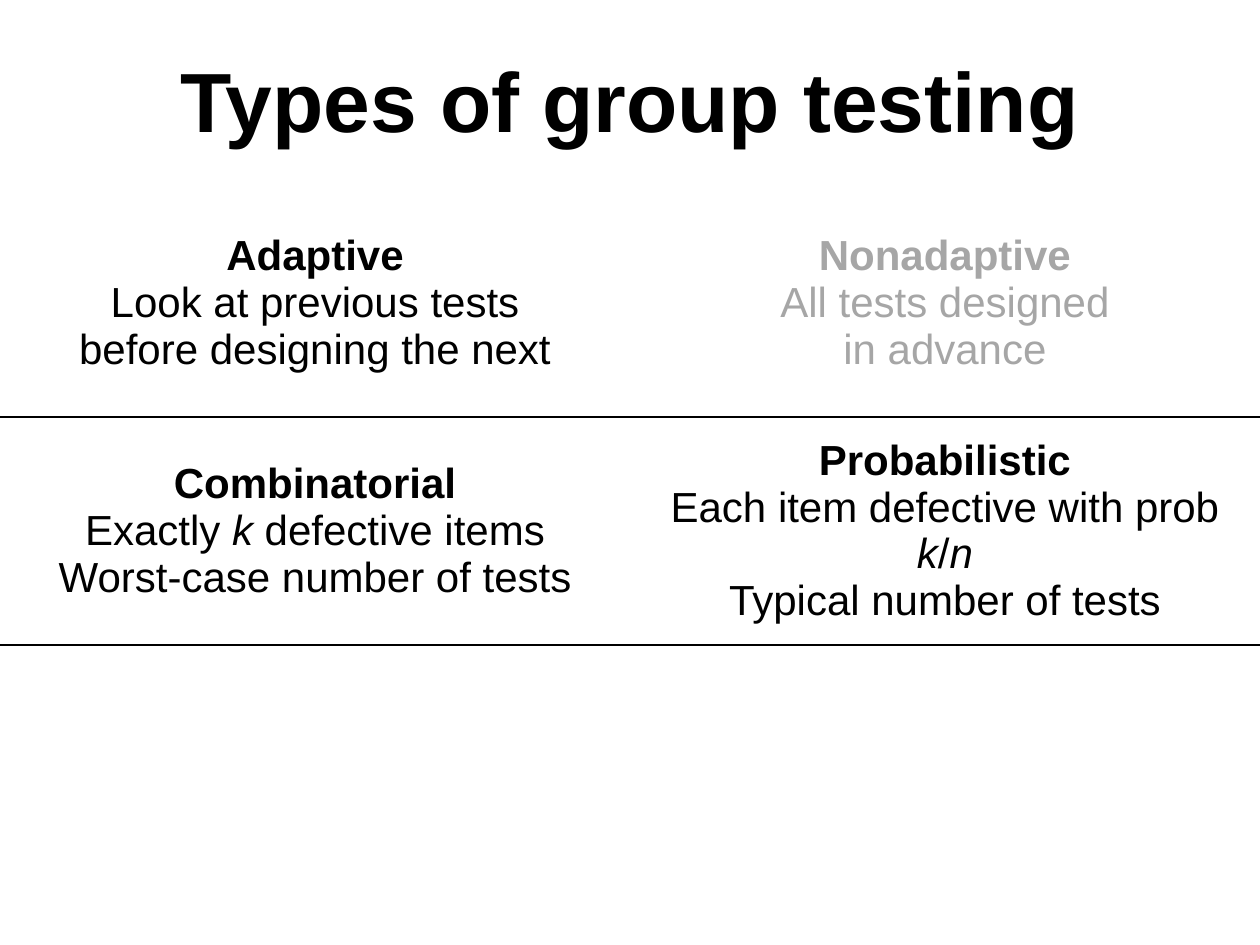
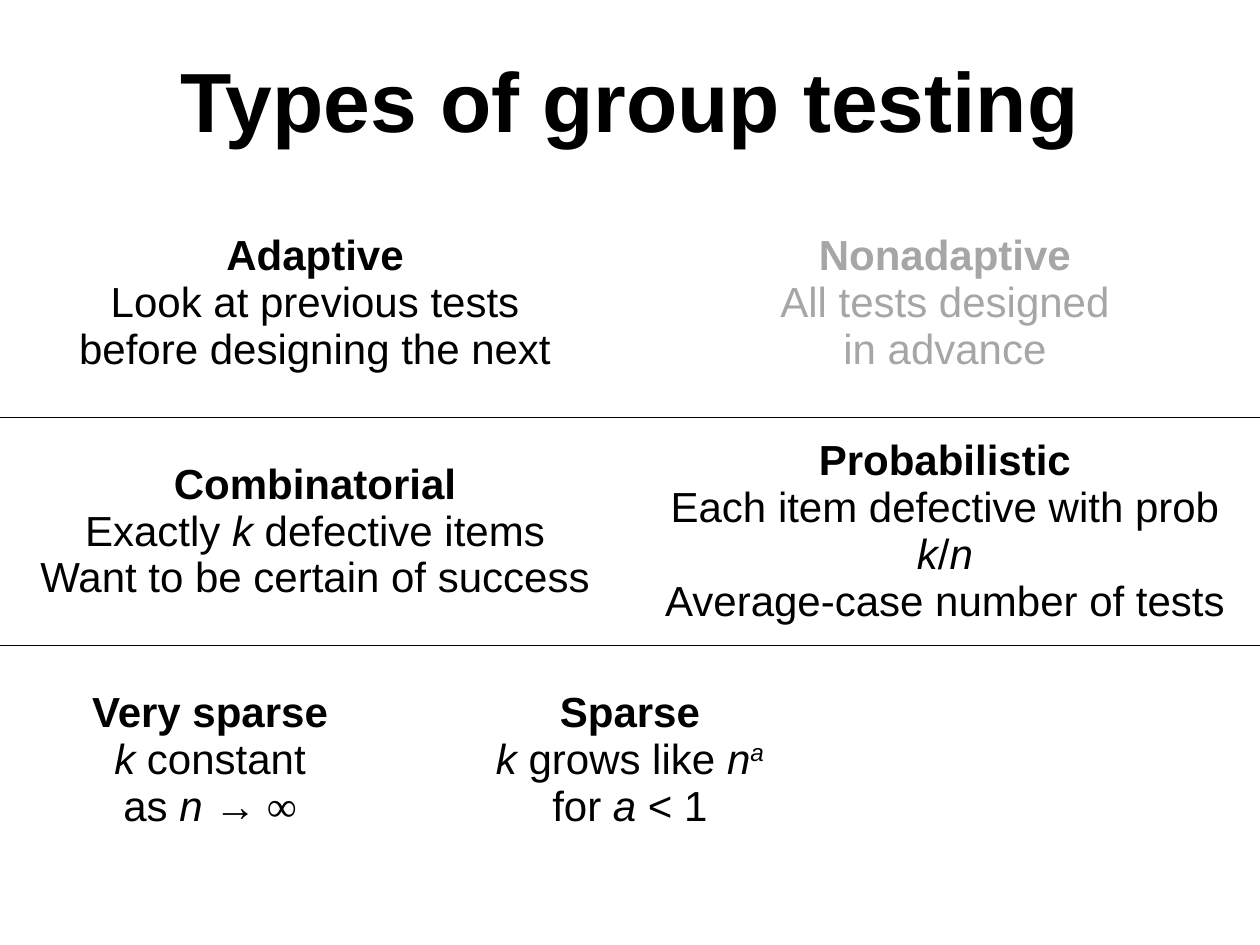
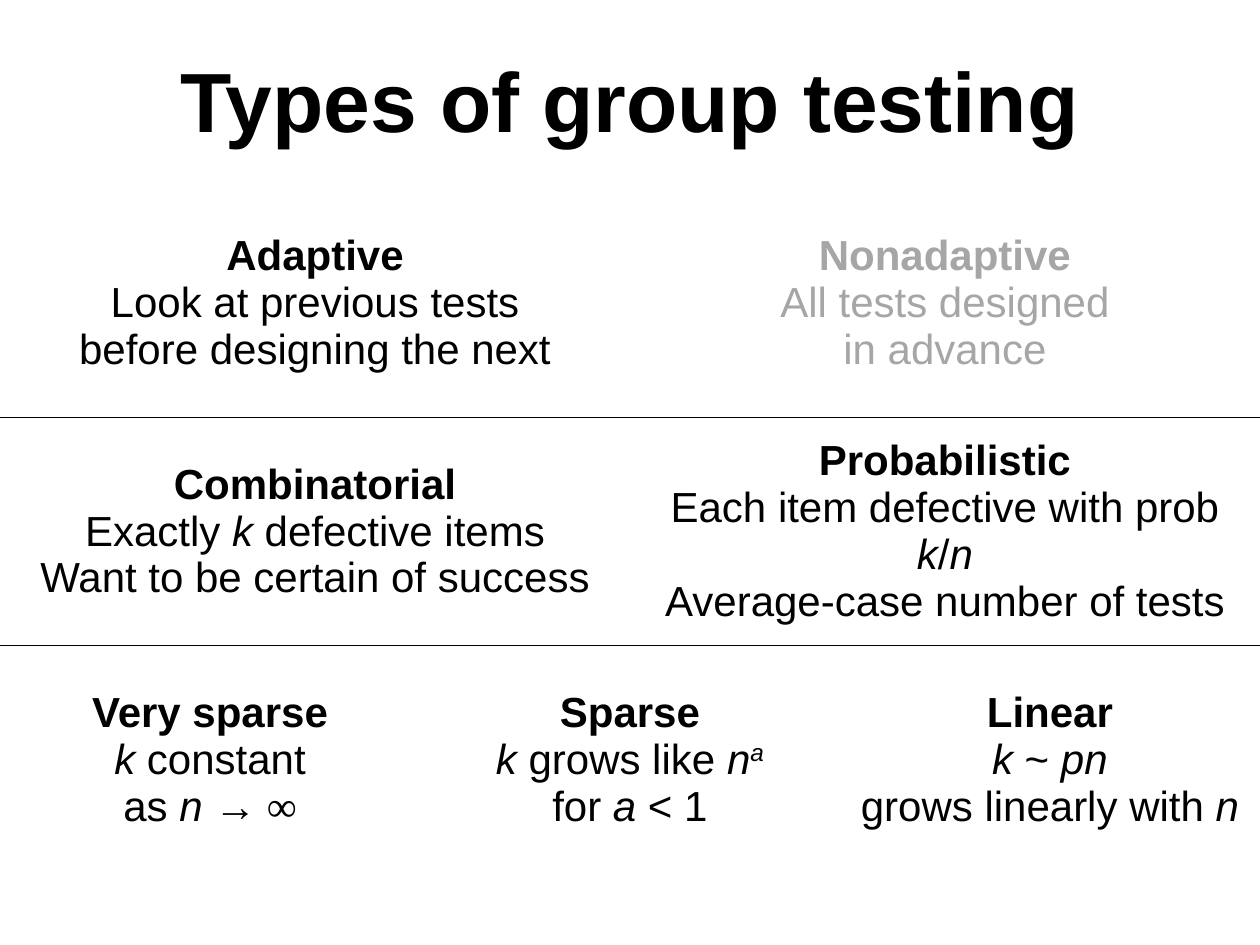
from lxml import etree
from pptx import Presentation
from pptx import util as u
from pptx.dml.color import RGBColor
from pptx.enum import text
from pptx.oxml import ns

BLACK = RGBColor(0, 0, 0)
GREY = RGBColor(0xA6, 0xA6, 0xA6)
FACE = "Arial"
SERIF = "Times New Roman"
PLAIN = "{2D5ABB26-0587-4C30-8999-92F81FD0307C}"


def write(par, runs, size, tint):
    par.alignment = text.PP_ALIGN.CENTER
    for words, style in runs:
        for num, line in enumerate(words.split("\n")):
            if num:
                par.add_line_break()
            if line:
                run = par.add_run()
                run.text = line
                font = run.font
                font.size = u.Pt(size)
                font.name = SERIF if style == "serif" else FACE
                font.color.rgb = tint
                font.bold = style == "bold"
                font.italic = style in ("ital", "super")
                if style == "super":
                    font._element.set("baseline", "30000")


def rule(cell, side, place):
    line = etree.Element(ns.qn("a:" + side), w=str(u.Pt(1)))
    fill = etree.SubElement(line, ns.qn("a:solidFill"))
    etree.SubElement(fill, ns.qn("a:srgbClr"), val=str(BLACK))
    cell._tc.get_or_add_tcPr().insert(place, line)


adapt = [[("Adaptive\n", "bold"),
          ("Look at previous tests\nbefore designing the next", "")]]
fixed = [[("Nonadaptive", "bold")],
         [("All tests designed\nin advance", "")]]
sparse = [
    [[("Very sparse\n", "bold"), ("k", "ital"), (" constant\nas ", ""),
      ("n ", "ital"), ("→ ∞", "serif")]],
    [[("Sparse\n", "bold"), ("k", "ital"), (" grows like ", ""),
      ("n", "ital"), ("a\n", "super"), ("for ", ""), ("a", "ital"),
      (" < 1", "")]],
    [[("Linear\n", "bold"), ("k", "ital"), (" ~ ", ""), ("pn\n", "ital"),
      ("grows linearly with ", ""), ("n", "ital")]],
]
slides = [
    ("Worst-case number of tests", "Typical number of tests", 0, 130.3),
    ("Want to be certain of success", "Average-case number of tests", 2, 130.5),
    ("Want to be certain of success", "Average-case number of tests", 3, 130.5),
]

deck = Presentation()
deck.slide_width = u.Pt(720)
deck.slide_height = u.Pt(540)

for worst, mean, count, high in slides:
    slide = deck.slides.add_slide(deck.slide_layouts[5])
    title = slide.shapes.title
    title.left, title.top = u.Pt(49.5), u.Pt(28.8)
    title.width, title.height = u.Pt(621), u.Pt(62.6)
    frame = title.text_frame
    frame.auto_size = text.MSO_AUTO_SIZE.NONE
    frame.vertical_anchor = text.MSO_ANCHOR.MIDDLE
    head = frame.paragraphs[0]
    head.line_spacing = 0.9
    write(head, [("Types of group testing", "bold")], 48, BLACK)

    grid = slide.shapes.add_table(
        3, 4, 0, u.Pt(108), u.Pt(720), u.Pt(3 * high)).table
    grid.first_row = grid.horz_banding = False
    grid._tbl.tblPr.find(ns.qn("a:tableStyleId")).text = PLAIN
    for col, wide in zip(grid.columns, (240, 120, 120, 240)):
        col.width = u.Pt(wide)
    for row in grid.rows:
        row.height = u.Pt(high)
    for cell in grid.iter_cells():
        cell.fill.background()
        cell.vertical_anchor = text.MSO_ANCHOR.MIDDLE
    for col in range(4):
        rule(grid.cell(0, col), "lnB", 0)
        rule(grid.cell(1, col), "lnT", 0)
        rule(grid.cell(1, col), "lnB", 1)
        rule(grid.cell(2, col), "lnT", 0)
    for row, col in ((0, 0), (0, 2), (1, 0), (1, 2), (2, 1)):
        grid.cell(row, col).merge(grid.cell(row, col + 1))

    exact = [[("Combinatorial\n", "bold"), ("Exactly ", ""), ("k", "ital"),
              (" defective items\n" + worst, "")]]
    chance = [[("Probabilistic\n", "bold"),
               ("Each item defective with prob ", ""), ("k", "ital"),
               ("/", ""), ("n\n", "ital"), (mean, "")]]
    parts = [(0, 0, adapt), (0, 2, fixed), (1, 0, exact), (1, 2, chance)]
    parts += [(2, col, part) for col, part in zip((0, 1, 3), sparse[:count])]
    for row, col, part in parts:
        frame = grid.cell(row, col).text_frame
        tint = GREY if part is fixed else BLACK
        for num, runs in enumerate(part):
            par = frame.add_paragraph() if num else frame.paragraphs[0]
            write(par, runs, 24, tint)

deck.save("out.pptx")
